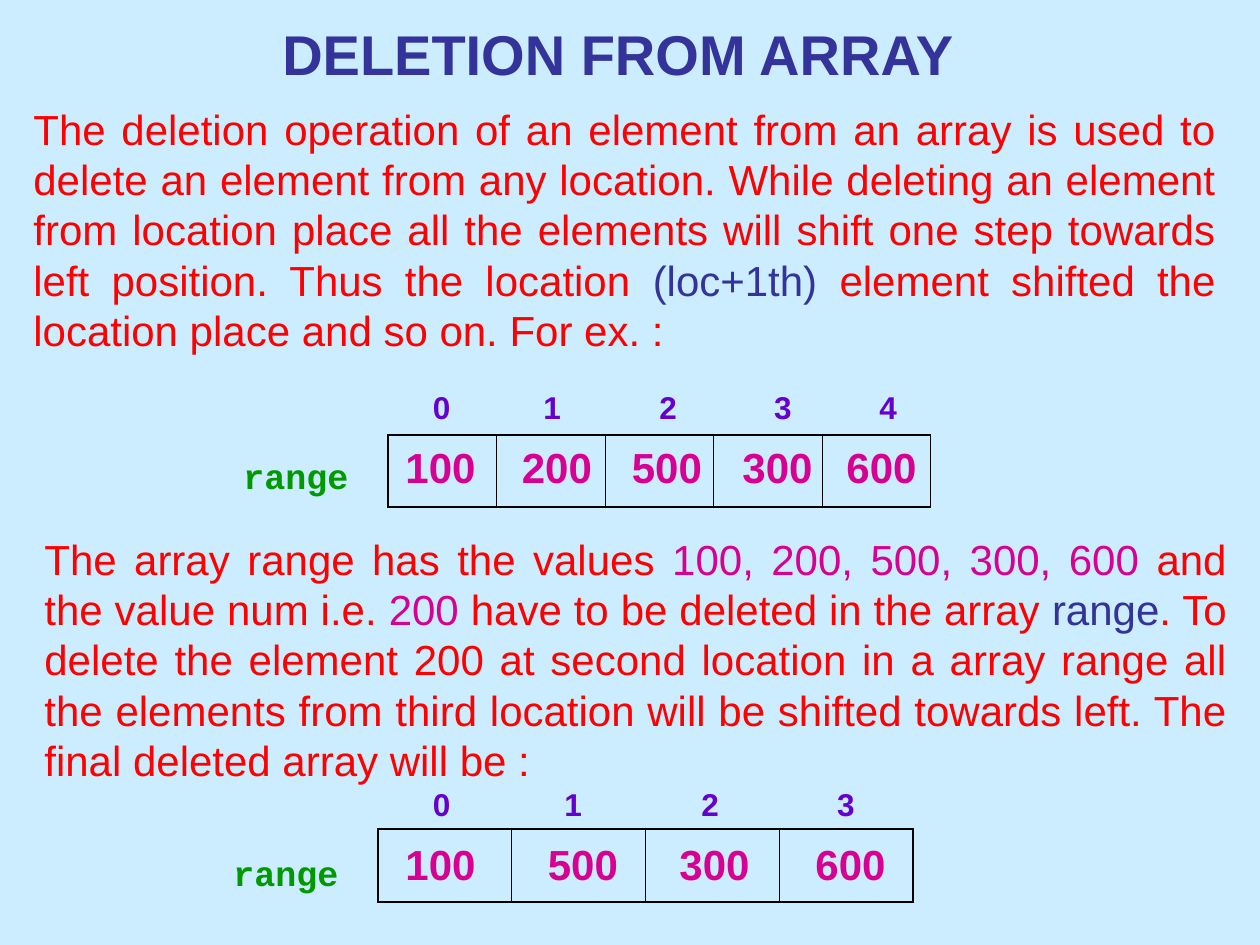
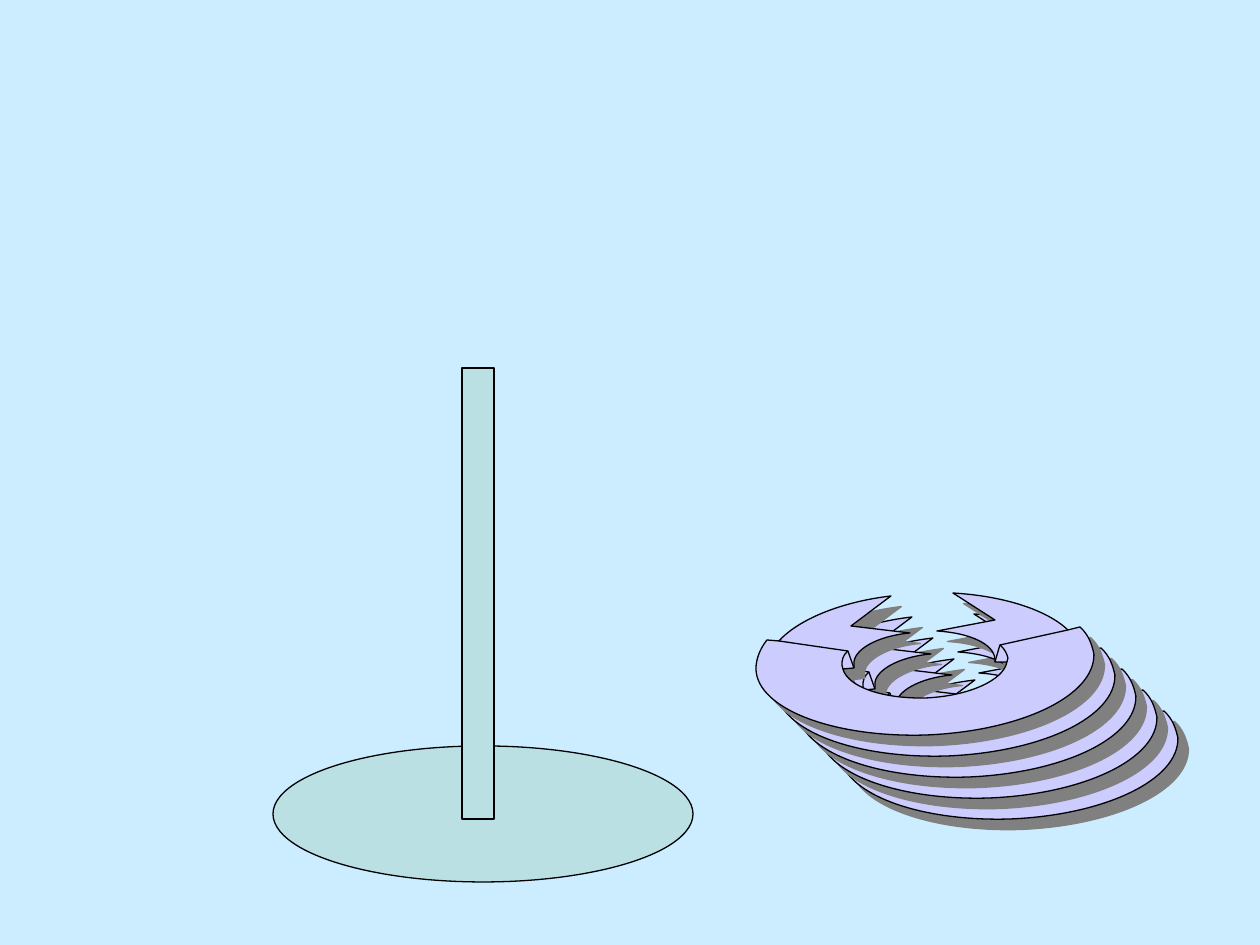
from lxml.etree import SubElement
from pptx import Presentation
from pptx.dml.color import RGBColor
from pptx.enum.shapes import MSO_SHAPE
from pptx.enum.text import PP_ALIGN
from pptx.oxml.ns import qn
from pptx.util import Emu, Pt

PX = 914400 // 126
COLOURS = {
    "sky": "CCECFF", "navy": "333399", "red": "FF0000", "magenta": "D60093",
    "violet": "6600CC", "green": "009900", "black": "000000",
    "teal": "BBE0E3", "lilac": "CCCCFF", "grey": "808080",
}

TITLE = "DELETION FROM ARRAY "
PARAGRAPHS = [
    ((21, 97, 1207, 265), [
        ("The deletion operation of an element from an array is used to delete an element from any location. "
         "While deleting an element from location place all the elements will shift one step towards left "
         "position. Thus the location ", "red"),
        ("(loc+1th)", "navy"),
        (" element shifted the location place and so on. For ex. : ", "red"),
    ]),
    ((32, 527, 1207, 265), [
        ("The array range has the values ", "red"),
        ("100, 200, 500, 300, 600", "magenta"),
        (" and the value num i.e. ", "red"),
        ("200", "magenta"),
        (" have to be deleted in the array ", "red"),
        ("range", "navy"),
        (". To delete the element 200 at second location in a array range all the elements from third "
         "location will be shifted towards left. The final deleted array will be : ", "red"),
    ]),
]
ARRAYS = [
    {"grid": (388, 435, 651, 72), "columns": 6, "boxed": 5,
     "name": (231, 445), "index_top": 382, "value_top": 435,
     "indexes": [("0 ", 388, 116), ("1 ", 504, 105), ("2 ", 620, 105), ("3", 725, 116), ("4 ", 840, 105)],
     "values": [("100 ", 388, 105), ("200", 494, 126), ("500", 609, 116), ("300", 725, 105), ("600 ", 829, 105)]},
    {"grid": (378, 829, 535, 73), "columns": 4, "boxed": 4,
     "name": (221, 842), "index_top": 779, "value_top": 832,
     "indexes": [("0 ", 388, 116), ("1 ", 525, 105), ("2 ", 662, 105), ("3", 788, 116)],
     "values": [("100 ", 388, 105), ("500", 525, 116), ("300", 662, 105), ("600 ", 798, 105)]},
]

STAND = [(MSO_SHAPE.OVAL, (273, 746, 420, 136)), (MSO_SHAPE.RECTANGLE, (462, 368, 32, 451))]
RING_STEPS = [84, 63, 42, 21, 0]
RING_OUTLINE = [
    (937, 631), (995, 620), (953, 593),
    (1004, 596, 1047, 610, 1068, 630), (1080, 627),
    (1089, 635, 1092, 645, 1094, 654), (1095, 696, 1021, 731, 927, 735),
    (834, 738, 757, 709, 756, 669), (756, 659, 760, 649, 767, 640), (779, 641),
    (798, 620, 840, 602, 891, 596), (851, 626), (910, 633),
    (877, 636, 853, 650, 854, 664), (854, 668), (843, 669),
    (848, 687, 883, 699, 926, 698), (969, 696, 1004, 680, 1007, 662), (995, 662),
    (995, 659), (994, 644, 970, 633, 937, 631),
]
RING_FOLDS = [
    [(1068, 630), (1000, 645), (1005, 649, 1007, 654, 1008, 658), (1007, 662)],
    [(1000, 645), (995, 662)],
    [(779, 641), (848, 651), (843, 655, 842, 660, 842, 665), (843, 669)],
    [(848, 651), (854, 668)],
]


def colour(name):
    return RGBColor.from_string(COLOURS[name])


def scaled(frame):
    return [Emu(round(value * PX)) for value in frame]


def add_text(page, frame, text, size=24, font="Arial", tint="red", bold=False,
             align=PP_ALIGN.CENTER, leading=1.2):
    box = page.shapes.add_textbox(*scaled(frame))
    box.text_frame.word_wrap = True
    para = box.text_frame.paragraphs[0]
    para.alignment = align
    para.line_spacing = Pt(size * leading)
    for words, span_tint in [(text, tint)] if isinstance(text, str) else text:
        span = para.add_run()
        span.text = words
        span.font.size = Pt(size)
        span.font.name = font
        span.font.bold = bold
        span.font.color.rgb = colour(span_tint)


def add_border(properties, position, side, width):
    line = SubElement(properties, qn(f"a:ln{side}"), w=str(Pt(width)))
    if width:
        fill = SubElement(line, qn("a:solidFill"))
        SubElement(fill, qn("a:srgbClr"), val=COLOURS["black"])
    else:
        SubElement(line, qn("a:noFill"))
    properties.insert(position, line)


def add_grid(page, frame, columns, boxed):
    table = page.shapes.add_table(1, columns, *scaled(frame)).table
    table.first_row = table.horz_banding = False
    for number in range(columns):
        table.columns[number].width = Emu(round(frame[2] * PX / columns))
        cell = table.cell(0, number)
        cell.fill.background()
        inside = number < boxed
        outer = 1.08 if inside else 0
        right = 1.08 if number == columns - 1 else 0.45
        borders = {"L": 0.45 if number else 1.08, "R": right if inside else 0, "T": outer, "B": outer}
        for position, (side, width) in enumerate(borders.items()):
            add_border(cell._tc.get_or_add_tcPr(), position, side, width)


def style(shape, fill):
    shape.shadow.inherit = False
    shape.line.color.rgb = colour("black")
    shape.line.width = Pt(0.75)
    shape.fill.solid()
    shape.fill.fore_color.rgb = colour(fill)


def add_shadow(shape):
    effects = shape._element.spPr.find(qn("a:effectLst"))
    shadow = SubElement(effects, qn("a:outerShdw"), dist=str(Pt(8.5)), dir="2700000",
                        algn="ctr", rotWithShape="0")
    SubElement(shadow, qn("a:srgbClr"), val=COLOURS["grey"])


def curve_strokes(shape, strokes):
    outline = shape._element.spPr.find(".//" + qn("a:path"))
    folds = SubElement(outline.getparent(), qn("a:path"), w=outline.get("w"), h=outline.get("h"), fill="none")
    nodes = iter(list(outline))
    for number, stroke in enumerate(strokes):
        target = folds if number else outline
        for part in stroke:
            group = [next(nodes) for _ in part[::2]]
            if len(group) == 1:
                target.append(group[0])
                continue
            curve = SubElement(target, qn("a:cubicBezTo"))
            for node in group:
                curve.append(node[0])
                outline.remove(node)
        if not number:
            outline.append(next(nodes))


def add_ring(page, shift):
    strokes = [RING_OUTLINE, *RING_FOLDS]
    builder = None
    for stroke in strokes:
        points = [scaled((x + shift, y + shift))
                  for part in stroke for x, y in zip(part[::2], part[1::2])]
        if builder:
            builder.move_to(*points[0])
            builder.add_line_segments(points[1:], close=False)
        else:
            builder = page.shapes.build_freeform(*points[0])
            builder.add_line_segments(points[1:], close=True)
    ring = builder.convert_to_shape()
    curve_strokes(ring, strokes)
    style(ring, "lilac")
    add_shadow(ring)


def add_page(deck):
    page = deck.slides.add_slide(deck.slide_layouts[6])
    page.background.fill.solid()
    page.background.fill.fore_color.rgb = colour("sky")
    return page


def build_deletion(page):
    add_text(page, (32, 13, 1187, 81), TITLE, size=32, tint="navy", bold=True)
    for frame, spans in PARAGRAPHS:
        add_text(page, frame, spans, align=PP_ALIGN.JUSTIFY)
    for array in ARRAYS:
        add_grid(page, array["grid"], array["columns"], array["boxed"])
        add_text(page, (*array["name"], 210, 55), "range", size=20, font="Courier New",
                 tint="green", bold=True, align=PP_ALIGN.LEFT, leading=1.3)
        for text, left, width in array["indexes"]:
            add_text(page, (left, array["index_top"], width, 50), text, size=18, tint="violet", bold=True)
        for text, left, width in array["values"]:
            add_text(page, (left, array["value_top"], width, 63), text, tint="magenta", bold=True)


def build_rings(page):
    for kind, frame in STAND:
        style(page.shapes.add_shape(kind, *scaled(frame)), "teal")
    for shift in RING_STEPS:
        add_ring(page, shift)


def main():
    deck = Presentation()
    deck.slide_width, deck.slide_height = scaled((1260, 945))
    build_deletion(add_page(deck))
    build_rings(add_page(deck))
    deck.save("out.pptx")


if __name__ == "__main__":
    main()
